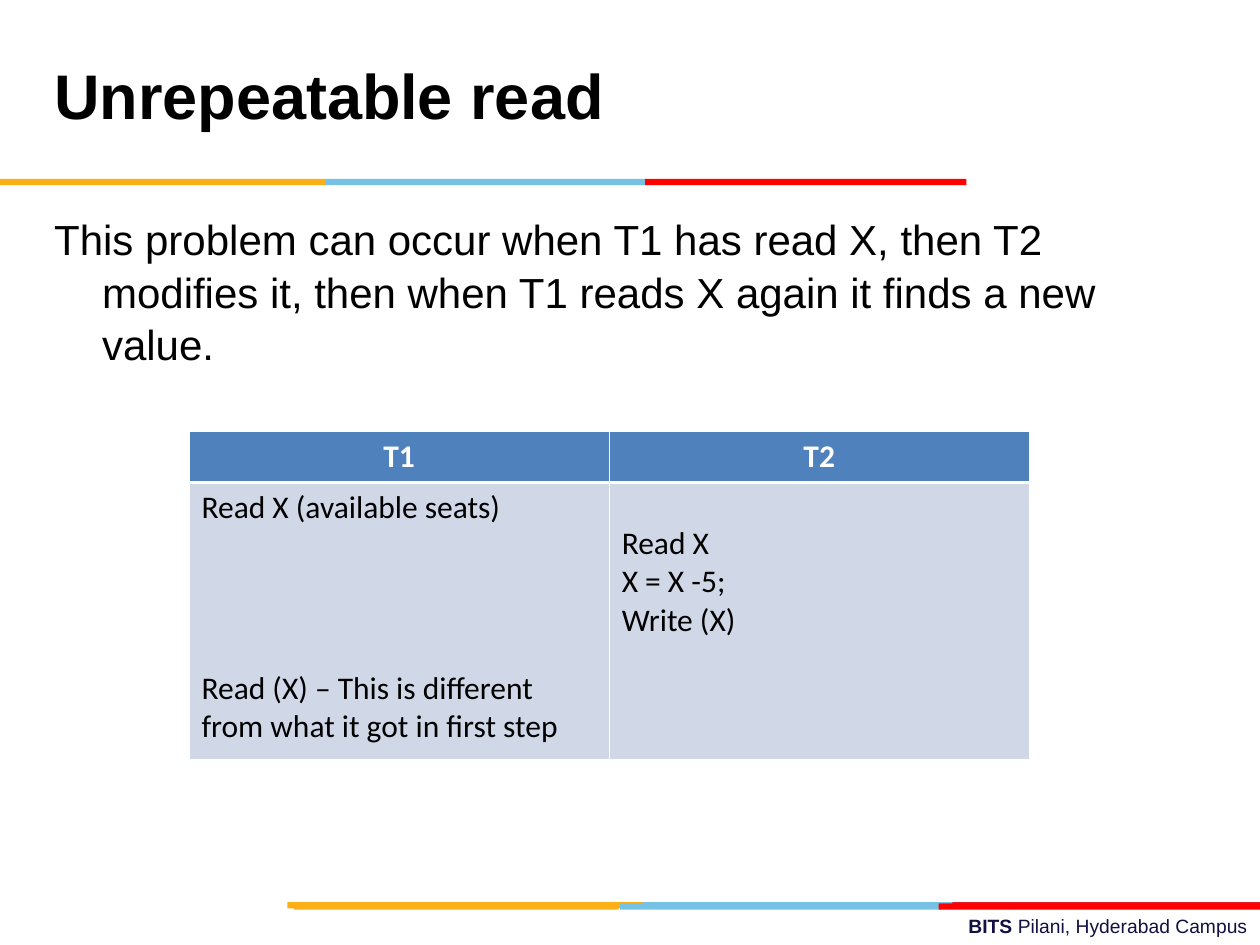
from dataclasses import dataclass

from lxml import etree
from pptx import Presentation
from pptx import util as u
from pptx.dml.color import RGBColor
from pptx.enum import shapes, text
from pptx.oxml.ns import qn

ORANGE, BLUE, CRIMSON, RED = "FCB017", "76C2E5", "E31C24", "FF0000"
BLACK, WHITE, NAVY = "000000", "FFFFFF", "101141"
HEADER_FILL, BODY_FILL = "4F81BD", "D0D8E8"
THIN, THICK = 0.45, 1.47
BAR_HEIGHT = 0.05


@dataclass
class Bar:
    left: float
    top: float
    width: float
    fill: str


@dataclass
class Cell:
    row: int
    column: int
    lines: list[str]
    top_margin: float = 0.05
    last_gap: float = 0  # points before the last line


BARS = [
    Bar(5.06, 7.16, 2.55, BLUE),
    Bar(7.56, 7.16, 2.44, CRIMSON),
    Bar(2.28, 7.16, 2.82, ORANGE),
    Bar(4.92, 7.17, 2.55, BLUE),
    Bar(2.33, 7.17, 2.58, ORANGE),
    Bar(7.45, 7.17, 2.55, RED),
    Bar(2.58, 1.42, 2.55, BLUE),
    Bar(0, 1.42, 2.58, ORANGE),
    Bar(5.12, 1.42, 2.55, RED),
]

CELLS = [
    Cell(0, 0, ["T1"]),
    Cell(0, 1, ["T2"]),
    Cell(1, 0, ["Read X (available seats)",
                "Read (X) – This is different from what it got in first step"],
         last_gap=81),
    Cell(1, 1, ["Read X", "X = X -5;", "Write (X)"], top_margin=0.33),
]


def rgb(color: str) -> RGBColor:
    return RGBColor.from_string(color)


def set_all(target, values: dict) -> None:
    for name, value in values.items():
        setattr(target, name, value)


def set_font(font, name: str, size: float, color: str, bold: bool = False) -> None:
    set_all(font, {"name": name, "size": u.Pt(size), "bold": bold})
    font.color.rgb = rgb(color)


def place(shape, left: float, top: float, width: float, height: float) -> None:
    set_all(shape, {"left": u.Inches(left), "top": u.Inches(top),
                    "width": u.Inches(width), "height": u.Inches(height)})


def draw_bar(slide, bar: Bar) -> None:
    shape = slide.shapes.add_shape(
        shapes.MSO_SHAPE.RECTANGLE, u.Inches(bar.left), u.Inches(bar.top),
        u.Inches(bar.width), u.Inches(BAR_HEIGHT))
    shape.shadow.inherit = False
    shape.fill.solid()
    shape.fill.fore_color.rgb = rgb(bar.fill)
    shape.line.fill.background()


def set_borders(cell, header: bool) -> None:
    """White cell edges, thicker between the header and the body."""
    properties = cell._tc.get_or_add_tcPr()
    widths = {"lnL": THIN, "lnR": THIN,
              "lnT": THIN if header else THICK,
              "lnB": THICK if header else THIN}
    for index, (tag, width) in enumerate(widths.items()):
        edge = etree.Element(qn(f"a:{tag}"), w=str(u.Pt(width)))
        fill = etree.SubElement(edge, qn("a:solidFill"))
        etree.SubElement(fill, qn("a:srgbClr"), val=WHITE)
        properties.insert(index, edge)


def fill_cell(table, content: Cell) -> None:
    cell = table.cell(content.row, content.column)
    header = content.row == 0
    cell.fill.solid()
    cell.fill.fore_color.rgb = rgb(HEADER_FILL if header else BODY_FILL)
    set_borders(cell, header)
    cell.margin_top = u.Inches(content.top_margin)
    cell.text = "\n".join(content.lines)
    paragraphs = cell.text_frame.paragraphs
    for paragraph in paragraphs:
        paragraph.alignment = text.PP_ALIGN.CENTER if header else text.PP_ALIGN.LEFT
        set_font(paragraph.font, "Calibri", 18, WHITE if header else BLACK, header)
    if content.last_gap:
        paragraphs[-1].space_before = u.Pt(content.last_gap)


def add_heading(slide) -> None:
    title = slide.shapes.title
    place(title, 0.33, 0.17, 6.92, 1.25)
    title.text = "Unrepeatable read"
    set_all(title.text_frame, {"vertical_anchor": text.MSO_ANCHOR.MIDDLE,
                               "auto_size": text.MSO_AUTO_SIZE.NONE})
    paragraph = title.text_frame.paragraphs[0]
    set_all(paragraph, {"alignment": text.PP_ALIGN.LEFT, "line_spacing": u.Pt(36)})
    set_font(paragraph.font, "Arial", 36, BLACK, True)


def add_explanation(slide) -> None:
    body = slide.placeholders[1]
    place(body, 0.33, 1.63, 9, 4.95)
    body.text = ("This problem can occur when T1 has read X, then T2 modifies it, "
                 "then when T1 reads X again it finds a new value.")
    body.text_frame.auto_size = text.MSO_AUTO_SIZE.NONE
    paragraph = body.text_frame.paragraphs[0]
    set_all(paragraph, {"space_before": u.Pt(0), "line_spacing": 1.04})
    properties = paragraph._p.get_or_add_pPr()
    properties.set("marL", str(u.Inches(0.38)))
    properties.set("indent", str(u.Inches(-0.38)))
    etree.SubElement(properties, qn("a:buNone"))
    set_font(paragraph.font, "Arial", 24, BLACK)


def add_schedule(slide) -> None:
    table = slide.shapes.add_table(
        2, 2, u.Inches(1.5), u.Inches(3.42), u.Inches(6.67), u.Inches(2.61)).table
    for row, height in zip(table.rows, (0.41, 2.2)):
        row.height = u.Inches(height)
    for content in CELLS:
        fill_cell(table, content)


def add_campus(slide) -> None:
    campus = slide.shapes.add_textbox(
        u.Inches(3.58), u.Inches(7.21), u.Inches(6.42), u.Inches(0.29))
    campus.text_frame.word_wrap = True
    paragraph = campus.text_frame.paragraphs[0]
    paragraph.alignment = text.PP_ALIGN.RIGHT
    for words, bold in (("BITS ", True), ("Pilani, Hyderabad Campus", False)):
        run = paragraph.add_run()
        run.text = words
        set_font(run.font, "Arial", 11, NAVY, bold)


def main() -> None:
    deck = Presentation()
    set_all(deck, {"slide_width": u.Inches(10), "slide_height": u.Inches(7.5)})
    slide = deck.slides.add_slide(deck.slide_layouts[1])
    add_campus(slide)
    for bar in BARS:
        draw_bar(slide, bar)
    add_explanation(slide)
    add_heading(slide)
    add_schedule(slide)
    deck.save("out.pptx")


if __name__ == "__main__":
    main()
